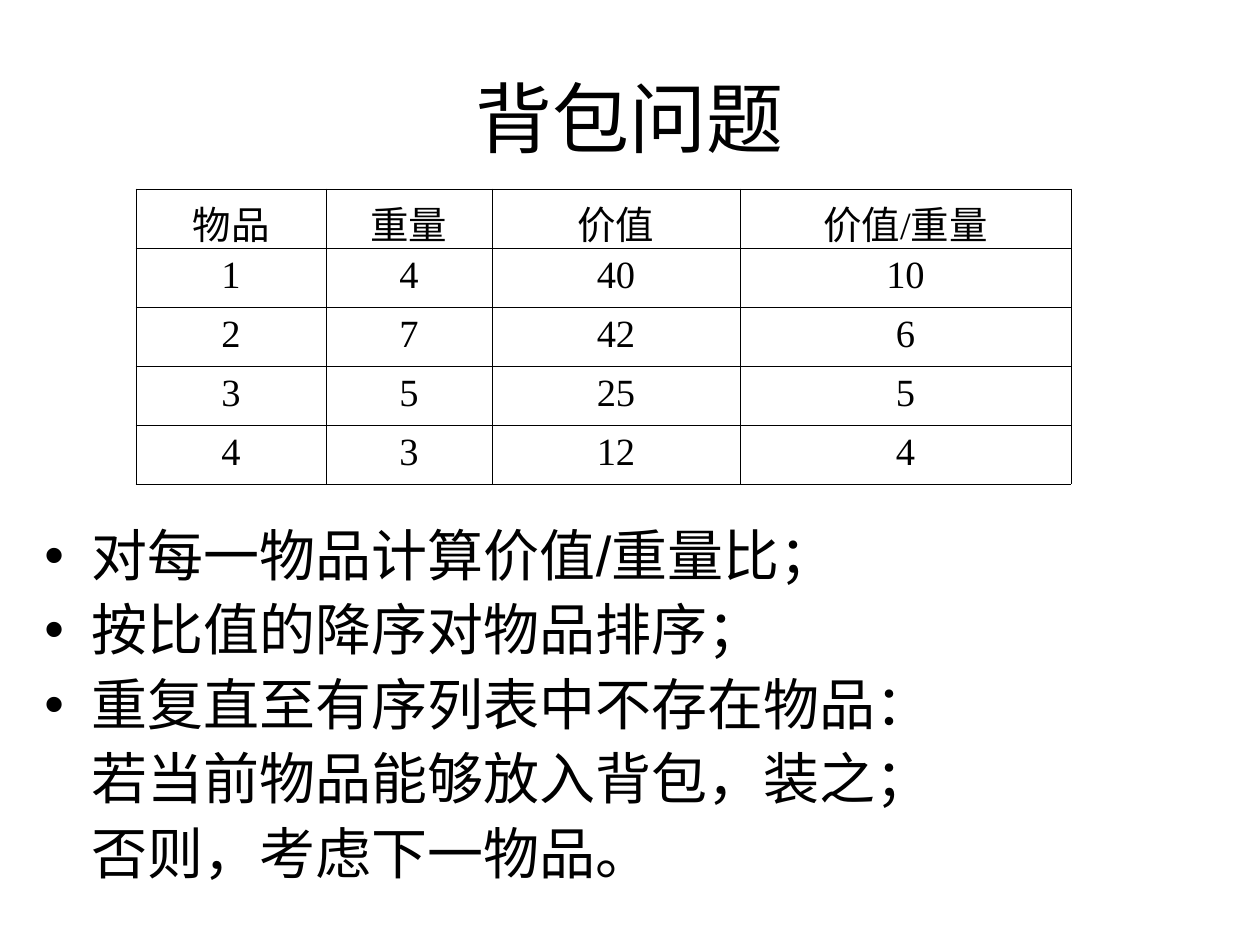
from lxml.etree import SubElement
from pptx import Presentation
from pptx.dml.color import RGBColor
from pptx.enum.text import MSO_ANCHOR, PP_ALIGN
from pptx.oxml.ns import qn
from pptx.util import Pt

TITLE = "背包问题"
ITEMS = [
    ("物品", "重量", "价值", "价值/重量"),
    ("1", "4", "40", "10"),
    ("2", "7", "42", "6"),
    ("3", "5", "25", "5"),
    ("4", "3", "12", "4"),
]
STEPS = [
    ("对每一物品计算价值/重量比；", True),
    ("按比值的降序对物品排序；", True),
    ("重复直至有序列表中不存在物品：", True),
    ("若当前物品能够放入背包，装之；", False),
    ("否则，考虑下一物品。", False),
]
BLACK = RGBColor(0, 0, 0)
WHITE = RGBColor(255, 255, 255)
SCALE = 914400 // 126
SLIDE_SIZE = (1260, 945)
TITLE_BOX = (63, 38, 1134, 158)
TABLE_ORIGIN = (136, 189)
COLUMN_WIDTHS = (190, 166, 248, 331)
ROW_HEIGHT = 59
STEPS_BOX = (32, 528, 1197, 385)
HANGING_INDENT = 47


def px(*lengths):
    return [length * SCALE for length in lengths]


def write(paragraph, text, size, font_name, align):
    paragraph.alignment = align
    run = paragraph.add_run()
    run.text = text
    run.font.size = Pt(size)
    run.font.name = font_name
    run.font.color.rgb = BLACK


def add_borders(cell):
    properties = cell._tc.get_or_add_tcPr()
    for side in ("lnL", "lnR", "lnT", "lnB"):
        line = SubElement(properties, qn(f"a:{side}"), w=str(Pt(0.45)))
        fill = SubElement(line, qn("a:solidFill"))
        SubElement(fill, qn("a:srgbClr"), val=str(BLACK))


def add_items_table(slide):
    size = (sum(COLUMN_WIDTHS), ROW_HEIGHT * len(ITEMS))
    table = slide.shapes.add_table(
        len(ITEMS), len(COLUMN_WIDTHS), *px(*TABLE_ORIGIN, *size)
    ).table
    table.first_row = table.horz_banding = False
    for column, width in zip(table.columns, px(*COLUMN_WIDTHS)):
        column.width = width
    for row, values in zip(table.rows, ITEMS):
        row.height = ROW_HEIGHT * SCALE
        for cell, value in zip(row.cells, values):
            add_borders(cell)
            cell.fill.background()
            write(cell.text_frame.paragraphs[0], value, 22,
                  "Times New Roman", PP_ALIGN.CENTER)


def add_steps(slide):
    frame = slide.shapes.add_textbox(*px(*STEPS_BOX)).text_frame
    frame.word_wrap = True
    frame.margin_top = frame.margin_bottom = 0
    for index, (text, bulleted) in enumerate(STEPS):
        paragraph = frame.add_paragraph() if index else frame.paragraphs[0]
        paragraph.line_spacing = 0.9
        paragraph.space_before = Pt(8 if index else 0)
        properties = paragraph._p.get_or_add_pPr()
        indent = HANGING_INDENT * SCALE
        properties.set("marL", str(indent))
        properties.set("indent", str(-indent if bulleted else 0))
        if bulleted:
            SubElement(properties, qn("a:buFont"), typeface="Arial")
            SubElement(properties, qn("a:buChar"), char="•")
        write(paragraph, text, 32, "Arial", PP_ALIGN.LEFT)


def main():
    presentation = Presentation()
    presentation.slide_width, presentation.slide_height = px(*SLIDE_SIZE)
    slide = presentation.slides.add_slide(presentation.slide_layouts[5])
    slide.background.fill.solid()
    slide.background.fill.fore_color.rgb = WHITE
    title = slide.shapes.title
    title.left, title.top, title.width, title.height = px(*TITLE_BOX)
    title.text_frame.vertical_anchor = MSO_ANCHOR.MIDDLE
    write(title.text_frame.paragraphs[0], TITLE, 44, "Arial", PP_ALIGN.CENTER)
    add_steps(slide)
    add_items_table(slide)
    presentation.save("out.pptx")


if __name__ == "__main__":
    main()
